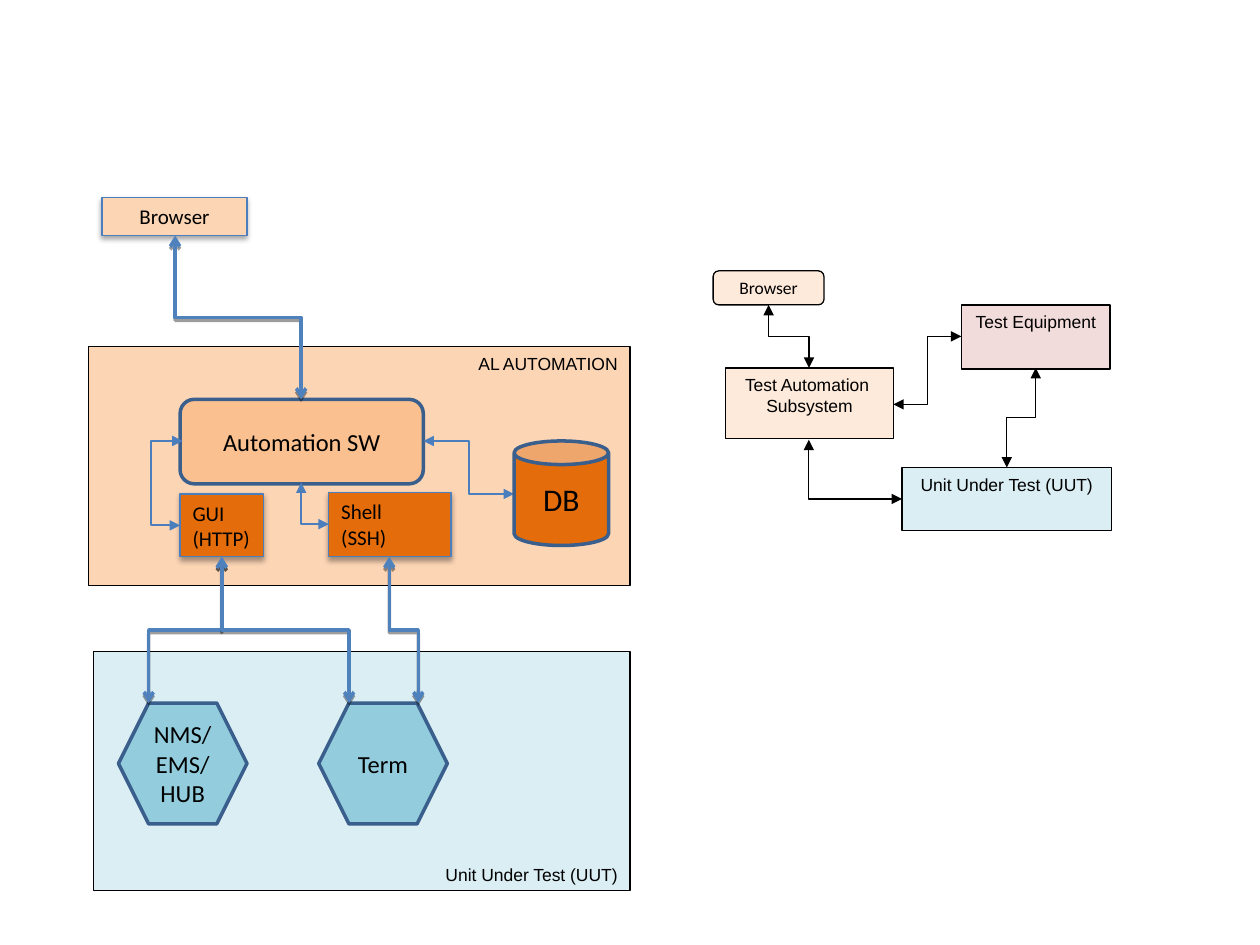
from lxml import etree
from pptx import Presentation
from pptx.dml.color import RGBColor
from pptx.enum.shapes import MSO_CONNECTOR, MSO_SHAPE
from pptx.enum.text import MSO_ANCHOR, PP_ALIGN
from pptx.oxml.ns import qn
from pptx.util import Inches, Pt

RECTANGLE = MSO_SHAPE.RECTANGLE
ROUNDED = MSO_SHAPE.ROUNDED_RECTANGLE
HEXAGON = MSO_SHAPE.HEXAGON
CAN = MSO_SHAPE.CAN
ELBOW = MSO_CONNECTOR.ELBOW
LEFT, CENTER, RIGHT = PP_ALIGN.LEFT, PP_ALIGN.CENTER, PP_ALIGN.RIGHT
TOP, MIDDLE, BOTTOM = MSO_ANCHOR.TOP, MSO_ANCHOR.MIDDLE, MSO_ANCHOR.BOTTOM

BLACK = RGBColor(0x00, 0x00, 0x00)
PEACH = RGBColor(0xFC, 0xD5, 0xB5)
PALE_PEACH = RGBColor(0xFD, 0xEA, 0xDA)
APRICOT = RGBColor(0xFA, 0xC0, 0x90)
ORANGE = RGBColor(0xE4, 0x6C, 0x0A)
PALE_BLUE = RGBColor(0xDB, 0xEE, 0xF4)
AQUA = RGBColor(0x93, 0xCD, 0xDD)
PINK = RGBColor(0xF2, 0xDC, 0xDB)
BLUE = RGBColor(0x4F, 0x81, 0xBD)
MID_BLUE = RGBColor(0x4B, 0x7E, 0xBC)
DARK_BLUE = RGBColor(0x3A, 0x5F, 0x8C)

THIN = (BLACK, 0.75)
SOFT = (MID_BLUE, 0.75)
HEAVY = (DARK_BLUE, 2)
LINK = (MID_BLUE, 1.25)
TRUNK = (BLUE, 2)
BOX_SHADOW = (35, 3.1, 1.8)
LINE_SHADOW = (38, 0, 1.6)


class DiagramBuilder:
    """Draws boxes and elbow arrows in the diagram style on one slide."""

    def __init__(self, slide):
        self.slide = slide

    def add_shadow(self, effects, opacity, blur, distance):
        shadow = etree.SubElement(
            effects, qn("a:outerShdw"), blurRad=str(Pt(blur)), dist=str(Pt(distance)),
            dir="5400000", rotWithShape="0")
        color = etree.SubElement(shadow, qn("a:srgbClr"), val=str(BLACK))
        etree.SubElement(color, qn("a:alpha"), val=str(opacity * 1000))

    def box(self, kind, bounds, text, fill, outline, size, font="Calibri",
            align=CENTER, anchor=MIDDLE, wrap=True, shadow=None):
        shape = self.slide.shapes.add_shape(kind, *map(Inches, bounds))
        shape.shadow.inherit = False
        if shadow:
            self.add_shadow(shape._element.spPr.find(qn("a:effectLst")), *shadow)
        shape.fill.solid()
        shape.fill.fore_color.rgb = fill
        shape.line.color.rgb, shape.line.width = outline[0], Pt(outline[1])
        frame = shape.text_frame
        frame.text = text
        frame.word_wrap = wrap
        frame.vertical_anchor = anchor
        for paragraph in frame.paragraphs:
            paragraph.alignment = align
            for run in paragraph.runs:
                run.font.name, run.font.size = font, Pt(size)
                run.font.color.rgb = BLACK

    def block(self, bounds, text, fill, align=CENTER, anchor=TOP):
        self.box(RECTANGLE, bounds, text, fill, THIN, 10, "Arial", align, anchor, False)

    def service(self, bounds, text, fill, align=LEFT, wrap=True):
        self.box(RECTANGLE, bounds, text, fill, SOFT, 12, align=align, anchor=TOP,
                 wrap=wrap, shadow=BOX_SHADOW)

    def arrow(self, start, end, style, head="triangle", shadow=None,
              preset="bentConnector3", bend=None):
        connector = self.slide.shapes.add_connector(ELBOW, *map(Inches, start + end))
        properties = connector._element.spPr
        geometry = properties.find(qn("a:prstGeom"))
        geometry.set("prst", preset)
        if bend is not None:
            guides = geometry.find(qn("a:avLst"))
            if guides is None:
                guides = etree.SubElement(geometry, qn("a:avLst"))
            etree.SubElement(guides, qn("a:gd"), name="adj1", fmla=f"val {round(bend * 100000)}")
        connector.line.color.rgb, connector.line.width = style[0], Pt(style[1])
        line = properties.find(qn("a:ln"))
        for tag in ("a:headEnd", "a:tailEnd"):
            etree.SubElement(line, qn(tag), type=head)
        effects = etree.SubElement(properties, qn("a:effectLst"))
        if shadow:
            self.add_shadow(effects, *shadow)
        return connector

    def drop(self, start, end, style, **options):
        middle_x, middle_y = (start[0] + end[0]) / 2, (start[1] + end[1]) / 2
        half_drop, half_shift = (end[1] - start[1]) / 2, abs(end[0] - start[0]) / 2
        rightward = end[0] > start[0]
        reach = half_drop if rightward else -half_drop
        connector = self.arrow((middle_x + reach, middle_y - half_shift),
                               (middle_x - reach, middle_y + half_shift), style, **options)
        degrees = 270 if rightward else 90
        connector._element.spPr.find(qn("a:xfrm")).set("rot", str(degrees * 60000))

    def trunk(self, start, end):
        self.drop(start, end, TRUNK, head="arrow", shadow=LINE_SHADOW)


def draw_architecture(diagram):
    diagram.block((0.7, 2.75, 4.3, 1.9), "AL AUTOMATION", PEACH, RIGHT)
    diagram.service((1.43, 3.92, 0.66, 0.5), "GUI\n(HTTP)", ORANGE, wrap=False)
    diagram.service((2.61, 3.91, 0.97, 0.51), "Shell\n(SSH)", ORANGE)
    diagram.block((0.74, 5.17, 4.26, 1.9), "Unit Under Test (UUT)", PALE_BLUE, RIGHT, BOTTOM)
    for left, text in ((0.94, "NMS/EMS/ HUB"), (2.53, "Term")):
        diagram.box(HEXAGON, (left, 5.58, 1.02, 0.96), text, AQUA, HEAVY, 14)
    for source, target in ((3.09, 3.32), (1.76, 1.18), (1.76, 2.77)):
        diagram.trunk((source, 4.42), (target, 5.58))
    diagram.box(ROUNDED, (1.43, 3.17, 1.93, 0.67), "Automation SW", APRICOT, HEAVY, 14)
    diagram.arrow((1.45, 3.5), (1.43, 4.17), LINK, bend=12.5)
    diagram.drop((2.39, 3.83), (2.61, 4.16), LINK, preset="bentConnector2")
    diagram.service((0.81, 1.57, 1.15, 0.3), "Browser", PEACH, CENTER)
    diagram.trunk((1.39, 1.87), (2.39, 3.17))
    diagram.arrow((3.36, 3.5), (4.08, 3.92), LINK)
    diagram.box(CAN, (4.08, 3.5, 0.75, 0.83), "DB", ORANGE, HEAVY, 18)


def draw_overview(diagram):
    diagram.drop((6.42, 3.49), (7.16, 3.96), THIN, preset="bentConnector2")
    diagram.block((5.76, 2.92, 1.33, 0.56), "Test Automation \nSubsystem", PALE_PEACH)
    diagram.block((7.63, 2.42, 1.18, 0.51), "Test Equipment", PINK)
    diagram.arrow((7.09, 3.21), (7.63, 2.67), THIN)
    diagram.drop((8.22, 2.92), (7.99, 3.71), THIN)
    diagram.block((7.16, 3.71, 1.66, 0.5), "Unit Under Test (UUT)", PALE_BLUE)
    diagram.box(ROUNDED, (5.66, 2.15, 0.88, 0.27), "Browser", PALE_PEACH, THIN, 10)
    diagram.drop((6.1, 2.42), (6.42, 2.92), THIN)


def main():
    presentation = Presentation()
    presentation.slide_width, presentation.slide_height = Inches(10), Inches(7.5)
    slide = presentation.slides.add_slide(presentation.slide_layouts[6])
    diagram = DiagramBuilder(slide)
    draw_architecture(diagram)
    draw_overview(diagram)
    presentation.save("out.pptx")


if __name__ == "__main__":
    main()
